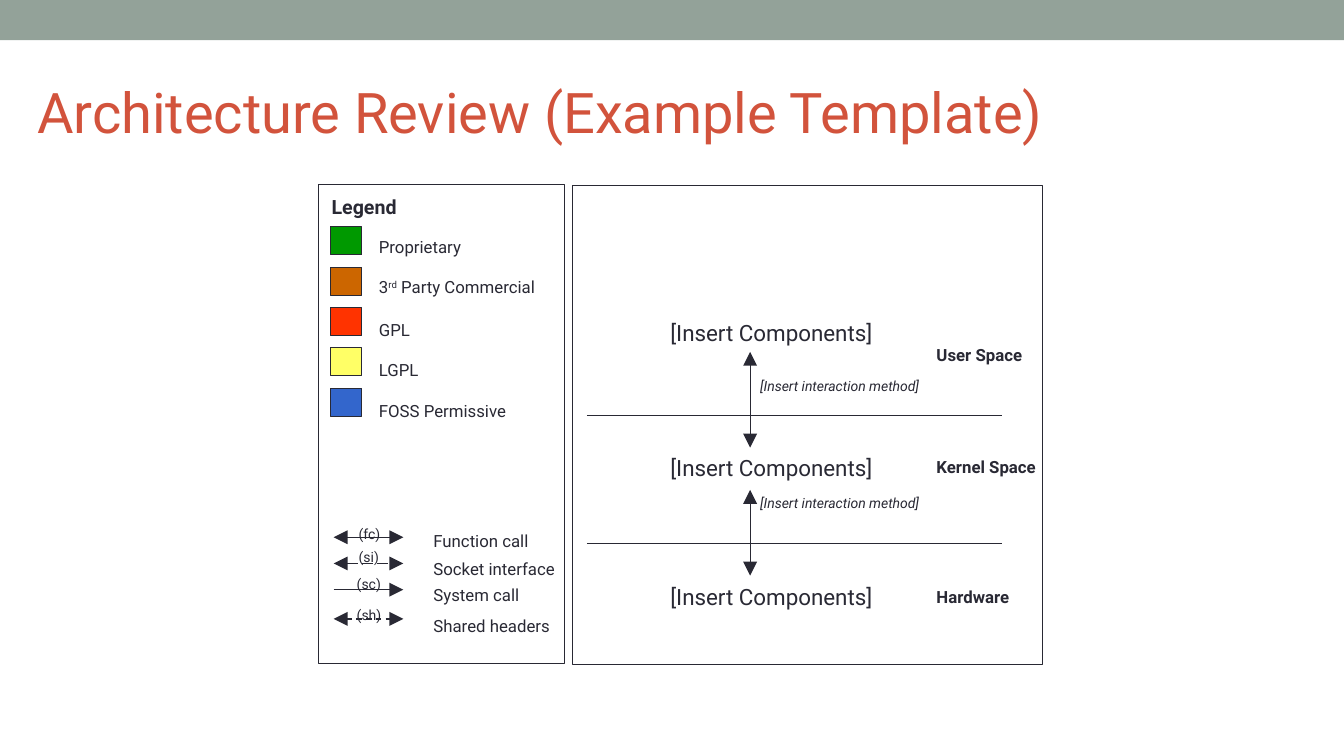
from typing import NamedTuple, Optional

from lxml.etree import SubElement
from pptx import Presentation
from pptx.dml.color import RGBColor
from pptx.enum.dml import MSO_LINE
from pptx.enum.shapes import MSO_CONNECTOR, MSO_SHAPE
from pptx.enum.text import MSO_ANCHOR
from pptx.oxml.ns import qn
from pptx.util import Inches, Pt

FONT = "Roboto"
INK = RGBColor(0x29, 0x29, 0x34)
TITLE_RED = RGBColor(0xD2, 0x53, 0x3C)
BAND_GREEN = RGBColor(0x93, 0xA2, 0x99)
GREEN = RGBColor(0x00, 0x99, 0x00)
BROWN = RGBColor(0xCC, 0x66, 0x00)
RED = RGBColor(0xFF, 0x33, 0x00)
YELLOW = RGBColor(0xFF, 0xFF, 0x66)
BLUE = RGBColor(0x33, 0x66, 0xCC)


class License(NamedTuple):
    """A colour swatch of the legend; label pieces alternate normal and superscript."""
    label: tuple[str, ...]
    color: RGBColor
    label_top: float


class Call(NamedTuple):
    """An arrow of the legend with its abbreviation and meaning."""
    code: str
    label: str
    top: float
    code_left: float
    code_top: float
    label_top: float
    both_ways: bool = True
    dash: Optional[MSO_LINE] = None


class Layer(NamedTuple):
    """A layer of the architecture."""
    name: str
    name_top: float
    components_top: float


class Interaction(NamedTuple):
    """A boundary between two layers and the arrow across it."""
    boundary: float
    arrow_top: float
    arrow_bottom: float
    label_top: float


LICENSES = (
    License(("Proprietary",), GREEN, 2.3),
    License(("3", "rd", " Party Commercial"), BROWN, 2.7),
    License(("GPL",), RED, 3.12),
    License(("LGPL",), YELLOW, 3.52),
    License(("FOSS Permissive",), BLUE, 3.93),
)
CALLS = (
    Call("(fc)", "Function call", 5.33, 3.46, 5.16, 5.22),
    Call("(si)", "Socket interface", 5.59, 3.46, 5.39, 5.49, dash=MSO_LINE.LONG_DASH),
    Call("(sc)", "System call", 5.85, 3.44, 5.66, 5.75, both_ways=False),
    Call("(sh)", "Shared headers", 6.14, 3.44, 5.97, 6.06, dash=MSO_LINE.DASH),
)
LAYERS = (
    Layer("User Space", 3.37, 3.12),
    Layer("Kernel Space", 4.48, 4.46),
    Layer("Hardware", 5.77, 5.74),
)
INTERACTIONS = (
    Interaction(4.12, 3.49, 4.44, 3.7),
    Interaction(5.39, 4.86, 5.71, 4.86),
)

presentation = Presentation()
presentation.slide_width = Inches(13.33)
presentation.slide_height = Inches(7.5)
slide = presentation.slides.add_slide(presentation.slide_layouts[6])


def add_text(*pieces: str, left: float, top: float, width: float, height: float = 0.3,
             size: float = 12, color: RGBColor = INK, bold: bool = False,
             italic: bool = False, wrap: bool = False) -> None:
    """Add one line of text; every second piece is superscript."""
    box = slide.shapes.add_textbox(Inches(left), Inches(top), Inches(width), Inches(height))
    frame = box.text_frame
    frame.word_wrap = wrap
    frame.vertical_anchor = MSO_ANCHOR.MIDDLE if wrap else MSO_ANCHOR.TOP
    for index, piece in enumerate(pieces):
        run = frame.paragraphs[0].add_run()
        run.text = piece
        run.font.name = FONT
        run.font.size = Pt(size)
        run.font.color.rgb = color
        run.font.bold = bold
        run.font.italic = italic
        if index % 2:
            run.font._element.set("baseline", "30000")


def add_box(left: float, top: float, width: float, height: float,
            fill: Optional[RGBColor] = None, line_width: float = 0) -> None:
    """Add a rectangle with an optional fill and outline."""
    shape = slide.shapes.add_shape(MSO_SHAPE.RECTANGLE, Inches(left), Inches(top),
                                   Inches(width), Inches(height))
    shape.shadow.inherit = False
    if fill is None:
        shape.fill.background()
    else:
        shape.fill.solid()
        shape.fill.fore_color.rgb = fill
    if line_width:
        shape.line.color.rgb = INK
        shape.line.width = Pt(line_width)
    else:
        shape.line.fill.background()


def add_line(start: tuple[float, float], end: tuple[float, float], width: float = 1,
             ends: tuple[str, ...] = (), dash: Optional[MSO_LINE] = None) -> None:
    """Add a straight line with arrowheads at the named ends."""
    connector = slide.shapes.add_connector(
        MSO_CONNECTOR.STRAIGHT, *(Inches(value) for value in start + end))
    connector.line.color.rgb = INK
    connector.line.width = Pt(width)
    if dash is not None:
        connector.line.dash_style = dash
    properties = connector.line._get_or_add_ln()
    for name in ends:
        SubElement(properties, qn(f"a:{name}"), type="triangle", w="lg", len="lg")
    SubElement(connector._element.spPr, qn("a:effectLst"))


def add_legend() -> None:
    """Draw the legend panel with licences and call types."""
    add_box(3.16, 1.83, 2.44, 4.75, line_width=1)
    add_text("Legend", left=3.19, top=1.88, width=0.86, height=0.34, size=14, bold=True)
    for index, entry in enumerate(LICENSES):
        add_box(3.28, 2.25 + 0.4 * index, 0.31, 0.28, entry.color, 0.75)
        add_text(*entry.label, left=3.66, top=entry.label_top, width=1.77)
    for call in CALLS:
        ends = ("headEnd", "tailEnd") if call.both_ways else ("tailEnd",)
        add_line((3.31, call.top), (4, call.top), ends=ends, dash=call.dash)
        add_text(call.code, left=call.code_left, top=call.code_top,
                 width=0.44, height=0.27, size=10)
        add_text(call.label, left=4.2, top=call.label_top, width=1.42)


def add_architecture() -> None:
    """Draw the architecture panel with layers and interactions."""
    add_box(5.68, 1.84, 4.66, 4.75, line_width=1)
    for layer in LAYERS:
        add_text(layer.name, left=9.19, top=layer.name_top, width=1.2, bold=True)
        add_text("[Insert Components]", left=6.55, top=layer.components_top,
                 width=2.23, height=0.37, size=16)
    for item in INTERACTIONS:
        add_line((5.82, item.boundary), (9.94, item.boundary))
        add_line((7.44, item.arrow_top), (7.44, item.arrow_bottom), 0.75,
                 ("headEnd", "tailEnd"))
        add_text("[Insert interaction method]", left=7.44, top=item.label_top,
                 width=1.81, height=0.27, size=10, italic=True)


add_box(0, 0, 13.33, 0.4, BAND_GREEN)
add_text("Architecture Review (Example Template)", left=0.27, top=0.56, width=12,
         height=1.08, size=40, color=TITLE_RED, wrap=True)
add_legend()
add_architecture()
presentation.save("out.pptx")
